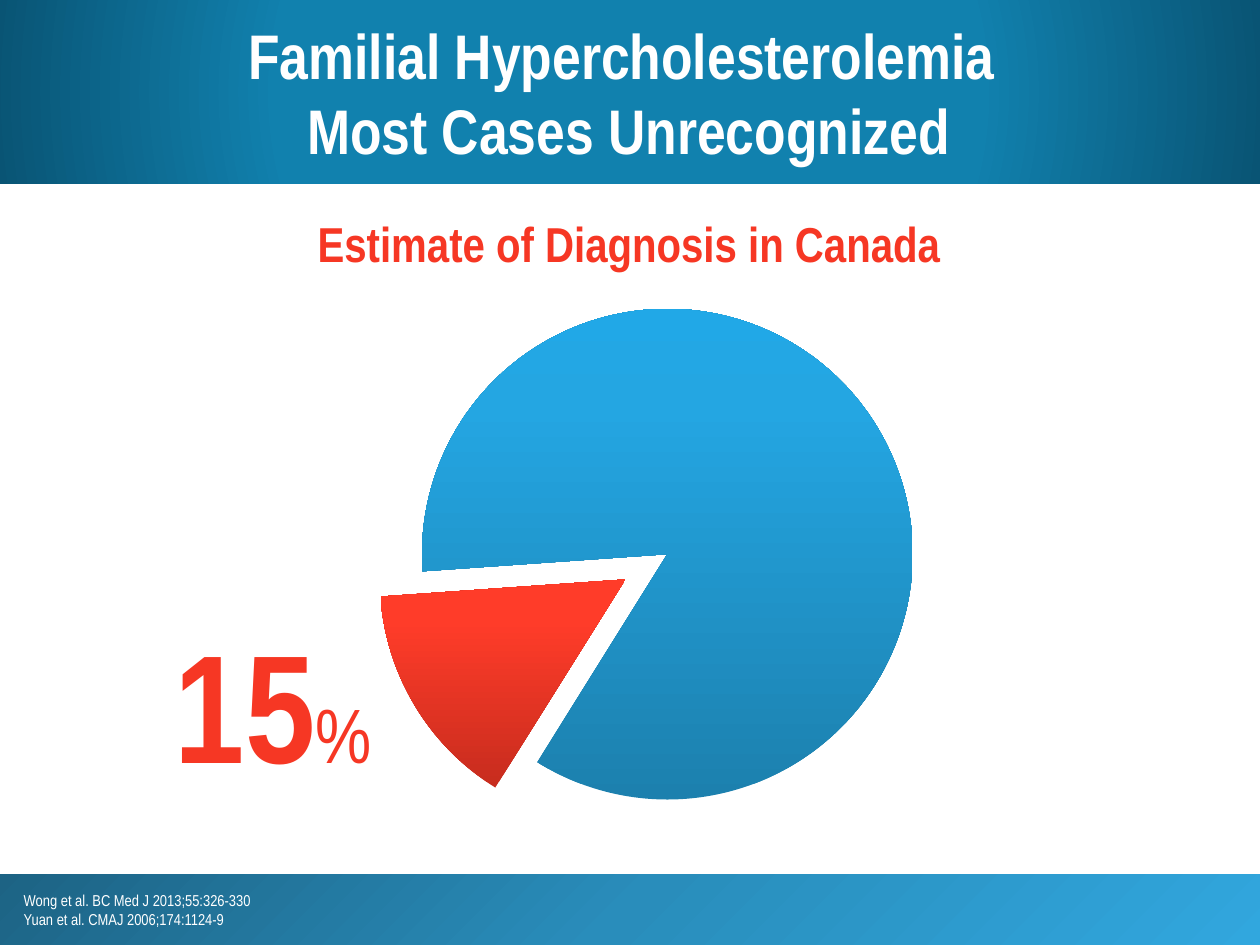
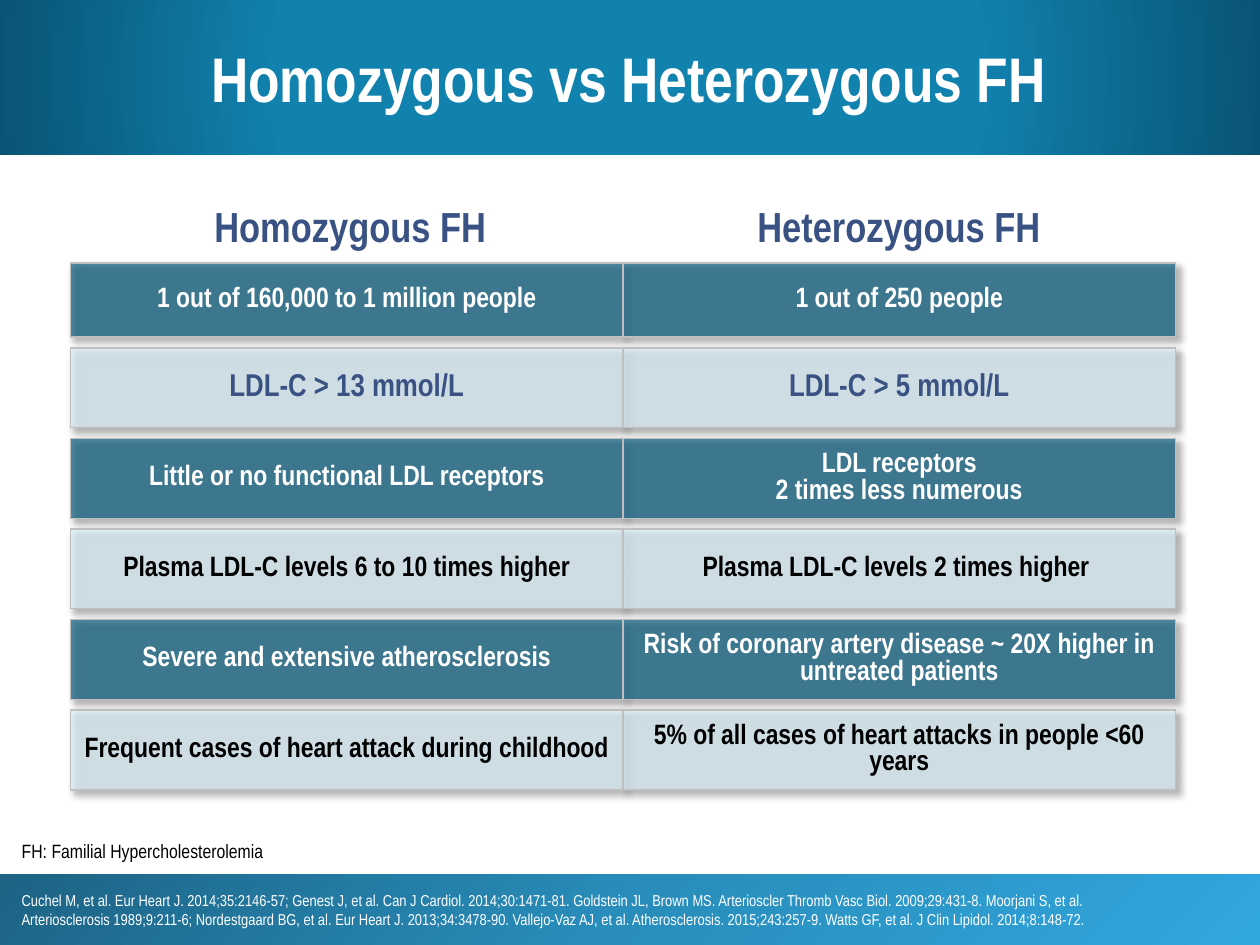
from dataclasses import dataclass

from lxml.etree import SubElement
from pptx import Presentation
from pptx.chart.data import CategoryChartData
from pptx.dml.color import RGBColor
from pptx.enum.chart import XL_CHART_TYPE as ChartType
from pptx.enum.shapes import MSO_SHAPE as Preset
from pptx.enum.text import MSO_ANCHOR as Anchor, MSO_AUTO_SIZE as AutoSize, PP_ALIGN as Align
from pptx.oxml import parse_xml
from pptx.oxml.ns import nsdecls, qn
from pptx.util import Pt

DIAGNOSIS = {
    "title": ("Familial Hypercholesterolemia ", "Most Cases Unrecognized"),
    "band_height": 105,
    "references": ("Wong et al. BC Med J 2013;55:326-330", "Yuan et al. CMAJ 2006;174:1124-9"),
    "references_left": 6.5,
    "heading": "Estimate of Diagnosis in Canada",
    "share": ("15", "%"),
    "pie": {"1": 85, "2": 15},
}

COMPARISON = {
    "title": ("Homozygous vs Heterozygous FH",),
    "band_height": 88.5,
    "references": (
        "Cuchel M, et al. Eur Heart J. 2014;35:2146-57; Genest J, et al. Can J Cardiol. 2014;30:1471-81. "
        "Goldstein JL, Brown MS. Arterioscler Thromb Vasc Biol. 2009;29:431-8. Moorjani S, et al. "
        "Arteriosclerosis 1989;9:211-6; Nordestgaard BG, et al. Eur Heart J. 2013;34:3478-90. "
        "Vallejo-Vaz AJ, et al. Atherosclerosis. 2015;243:257-9. Watts GF, et al. J Clin Lipidol. 2014;8:148-72.",
    ),
    "references_left": 5.3,
    "headings": (("Homozygous FH", 40.3, 319.7), ("Heterozygous FH", 357.8, 311.8)),
    "abbreviation": "FH: Familial Hypercholesterolemia",
    "rows": (
        ("dark", 42.5, ("1 out of 160,000 to 1 million people",), ("1 out of 250 people",)),
        ("level", 45.4, ("LDL-C > 13 mmol/L",), ("LDL-C > 5 mmol/L",)),
        ("dark", 45.4, ("Little or no functional LDL receptors",), ("LDL receptors", "2 times less numerous")),
        ("light", 45.4, ("Plasma LDL-C levels 6 to 10 times higher",), ("Plasma LDL-C levels 2 times higher ",)),
        ("dark", 45.4, ("Severe and extensive atherosclerosis",),
         ("Risk of coronary artery disease ~ 20X higher in untreated patients",)),
        ("light", 45.4, ("Frequent cases of heart attack during childhood",),
         ("5% of all cases of heart attacks in people <60 years",)),
    ),
}


@dataclass(frozen=True)
class Theme:
    font = "Arial Narrow"
    chart_font = "Calibri"
    black = "000000"
    white = "FFFFFF"
    red = "F63724"
    navy = "395283"
    border = "BFBFBF"
    dark_cell = "0A5C7E"
    light_cell = "D8EDF6"
    band_stops = ((0, "1181AE"), (55, "1181AE"), (100, "095474"))
    footer_stops = ((0, "1D6384"), (50, "298DBB"), (100, "31A7DE"))
    slice_stops = (
        ((0, "1C80AE"), (80, "24A6E2"), (100, "21A8E7")),
        ((0, "C72C1E"), (80, "FF3C29"), (100, "FF3D2B")),
    )
    title = (white, {"size": Pt(36), "bold": True})
    heading = (red, {"size": Pt(28), "bold": True})
    column_heading = (navy, {"size": Pt(24), "bold": True})
    share = (red, {"size": Pt(88), "bold": True})
    share_unit = (red, {"size": Pt(44), "bold": False})
    references = (white, {"size": Pt(9), "bold": False})
    abbreviation = (black, {"size": Pt(11), "bold": False})
    rows = {
        "dark": (dark_cell, (white, {"size": Pt(16), "bold": True})),
        "light": (light_cell, (black, {"size": Pt(16), "bold": True})),
        "level": (light_cell, (navy, {"size": Pt(18), "bold": True})),
    }


THEME = Theme()
BAND_LEFT, BAND_WIDTH = -1.5, 721.5
FOOTER_TOP, FOOTER_HEIGHT = 499.7, 40.3
TABLE_LEFT, TABLE_TOP, TABLE_WIDTH, ROW_GAP = 40.3, 150.2, 631.4, 6.3
RADIAL = '<a:path path="circle"><a:fillToRect l="50000" t="50000" r="50000" b="50000"/></a:path>'


def apply(target, values):
    for name, value in values.items():
        setattr(target, name, value)


def add_run(paragraph, text, style):
    color, font_values = style
    run = paragraph.add_run()
    run.text = text
    apply(run.font, {"name": THEME.font, **font_values})
    run.font.color.rgb = RGBColor.from_string(color)


def write(frame, lines, style, align):
    for index, line in enumerate(lines):
        paragraph = frame.paragraphs[0] if index == 0 else frame.add_paragraph()
        paragraph.alignment = align
        add_run(paragraph, line, style)


def linear(degrees):
    return f'<a:lin ang="{degrees * 60000}" scaled="0"/>'


def fill_gradient(fill, properties, stops, direction):
    fill.solid()
    marks = "".join(
        f'<a:gs pos="{position * 1000}"><a:srgbClr val="{color}"/></a:gs>' for position, color in stops
    )
    gradient = parse_xml(
        f'<a:gradFill {nsdecls("a")} rotWithShape="1"><a:gsLst>{marks}</a:gsLst>{direction}</a:gradFill>'
    )
    properties.replace(properties.find(qn("a:solidFill")), gradient)


def add_band(slide, top, height, stops, direction):
    band = slide.shapes.add_shape(Preset.RECTANGLE, Pt(BAND_LEFT), Pt(top), Pt(BAND_WIDTH), Pt(height))
    band.shadow.inherit = False
    band.line.fill.background()
    fill_gradient(band.fill, band._element.spPr, stops, direction)
    return band


def add_text(slide, box, lines, style, wrap=True, align=Align.LEFT):
    frame = slide.shapes.add_textbox(*map(Pt, box)).text_frame
    apply(frame, {"word_wrap": wrap, "auto_size": AutoSize.SHAPE_TO_FIT_TEXT})
    write(frame, lines, style, align)
    return frame


def add_slide(presentation, content):
    slide = presentation.slides.add_slide(presentation.slide_layouts[6])
    add_band(slide, FOOTER_TOP, FOOTER_HEIGHT, THEME.footer_stops, linear(45))
    band = add_band(slide, 0, content["band_height"], THEME.band_stops, RADIAL)
    band.text_frame.vertical_anchor = Anchor.MIDDLE
    write(band.text_frame, content["title"], THEME.title, Align.CENTER)
    add_text(slide, (content["references_left"], 505.4, 636.5, 28.8), content["references"], THEME.references)
    return slide


def add_pie(slide, values):
    data = CategoryChartData()
    data.categories = list(values)
    data.add_series("Series 1", list(values.values()))
    box = map(Pt, (169.2, 159.8, 400.3, 328.3))
    chart = slide.shapes.add_chart(ChartType.PIE, *box, data).chart
    apply(chart, {"has_legend": False, "has_title": False})
    apply(chart.font, {"name": THEME.chart_font, "size": Pt(18)})
    chart.font.color.rgb = RGBColor.from_string(THEME.black)
    plot = chart.plots[0]
    plot.vary_by_categories = True
    series = plot.series[0]
    for index, stops in enumerate(THEME.slice_stops):
        look = series.points[index].format
        fill_gradient(look.fill, look._element.get_or_add_spPr(), stops, linear(270))
        look.line.fill.background()
    explosion = parse_xml(f'<c:explosion {nsdecls("c")} val="10"/>')
    series._element.find(qn("c:dPt")).addprevious(explosion)
    SubElement(plot._element, qn("c:firstSliceAng"), val="266")


def style_cell(cell, color):
    cell.fill.solid()
    cell.fill.fore_color.rgb = RGBColor.from_string(color)
    properties = cell._tc.tcPr
    SubElement(properties.find(".//" + qn("a:srgbClr")), qn("a:alpha"), val="70000")
    for index, side in enumerate("LRTB"):
        border = parse_xml(
            f'<a:ln{side} {nsdecls("a")} w="12700"><a:solidFill>'
            f'<a:srgbClr val="{THEME.border}"/></a:solidFill></a:ln{side}>'
        )
        properties.insert(index, border)


def add_row_table(slide, top, height, kind, texts):
    box = map(Pt, (TABLE_LEFT, top, TABLE_WIDTH, height))
    table = slide.shapes.add_table(1, len(texts), *box).table
    apply(table, {"first_row": False, "horz_banding": False})
    table._tbl.tblPr.insert(0, parse_xml(
        f'<a:effectLst {nsdecls("a")}><a:outerShdw blurRad="50800" dist="38100" dir="2700000" algn="tl">'
        f'<a:srgbClr val="{THEME.black}"><a:alpha val="40000"/></a:srgbClr></a:outerShdw></a:effectLst>'
    ))
    color, style = THEME.rows[kind]
    for cell, lines in zip(table.rows[0].cells, texts):
        cell.vertical_anchor = Anchor.MIDDLE
        style_cell(cell, color)
        write(cell.text_frame, lines, style, Align.CENTER)


def build_diagnosis(presentation):
    slide = add_slide(presentation, DIAGNOSIS)
    add_pie(slide, DIAGNOSIS["pie"])
    number, unit = DIAGNOSIS["share"]
    frame = add_text(slide, (92.9, 344.9, 128.2, 113.8), (number,), THEME.share, wrap=False)
    add_run(frame.paragraphs[0], unit, THEME.share_unit)
    heading_box = (BAND_LEFT, 118.4, BAND_WIDTH, 41)
    add_text(slide, heading_box, (DIAGNOSIS["heading"],), THEME.heading, align=Align.CENTER)


def build_comparison(presentation):
    slide = add_slide(presentation, COMPARISON)
    for heading, left, width in COMPARISON["headings"]:
        add_text(slide, (left, 111.2, width, 36), (heading,), THEME.column_heading, align=Align.CENTER)
    top = TABLE_TOP
    for kind, height, *texts in COMPARISON["rows"]:
        add_row_table(slide, top, height, kind, texts)
        top += height + ROW_GAP
    add_text(slide, (5.3, 475.9, 566, 20.9), (COMPARISON["abbreviation"],), THEME.abbreviation)


def main():
    presentation = Presentation()
    apply(presentation, {"slide_width": Pt(720), "slide_height": Pt(540)})
    build_diagnosis(presentation)
    build_comparison(presentation)
    presentation.save("out.pptx")


if __name__ == "__main__":
    main()
